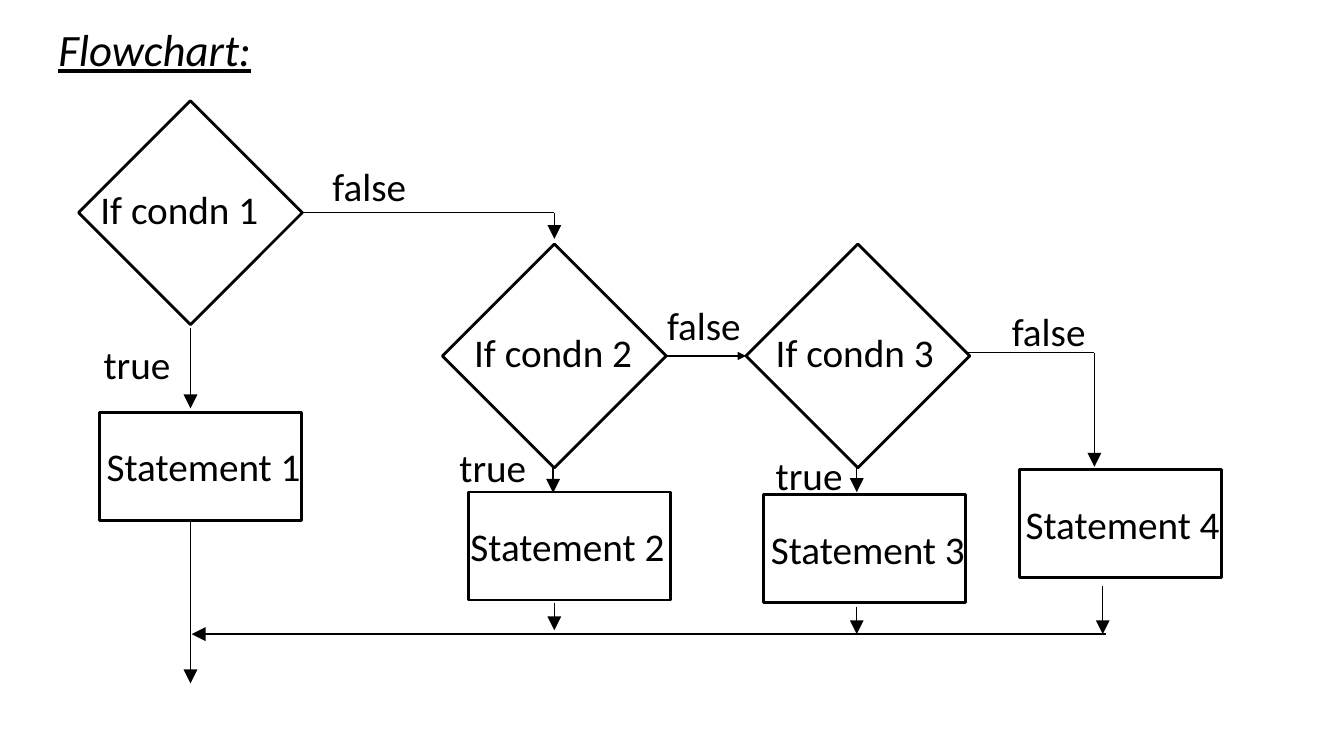
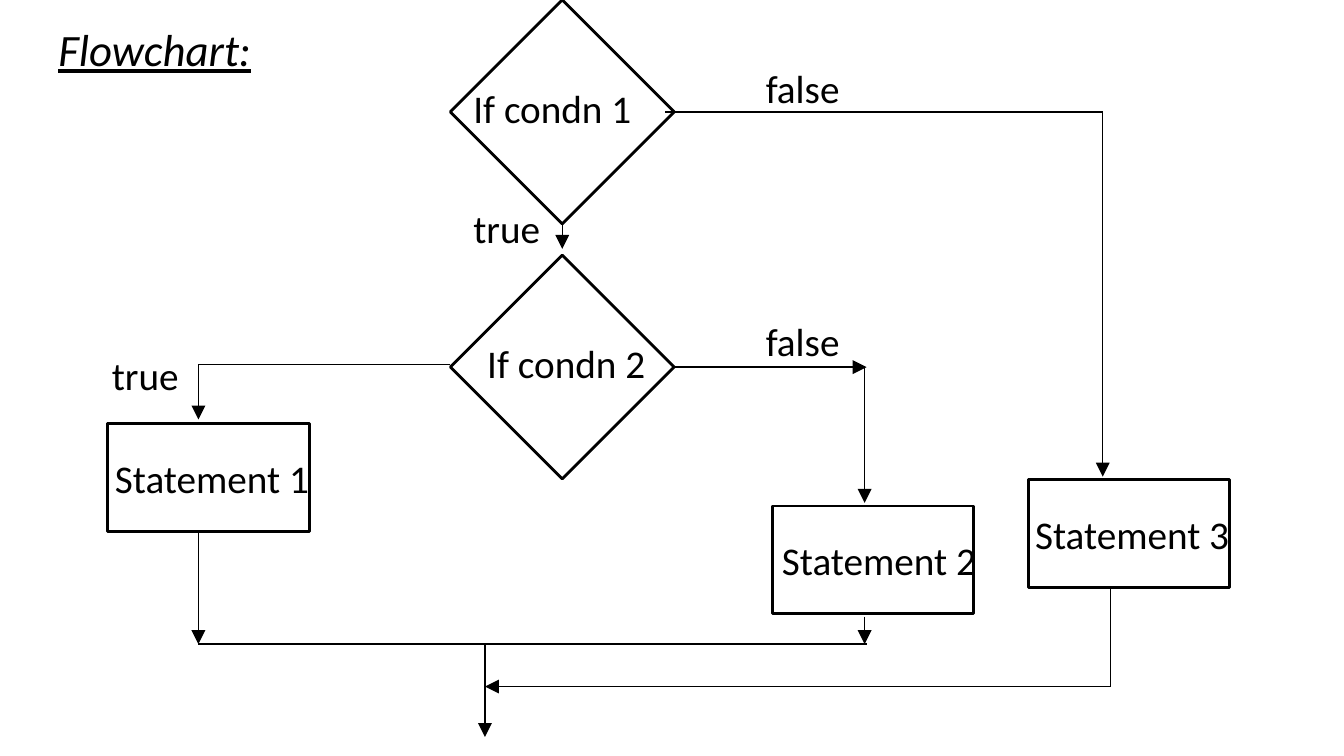
import itertools

import pptx
import pptx.dml.color
import pptx.enum.shapes
import pptx.enum.text
import pptx.oxml.ns
import pptx.util
from lxml import etree

Cm = pptx.util.Cm
Pt = pptx.util.Pt
SHAPES = pptx.enum.shapes.MSO_SHAPE

BLACK = pptx.dml.color.RGBColor(0x00, 0x00, 0x00)
FONT = "Calibri"
TITLE_SIZE = 32
LABEL_SIZE = 28
DIAMOND_SIDE = 5.64
DIAMOND_LABEL_LIFT = 0.1
STATEMENT_WIDTH, STATEMENT_HEIGHT = 5.08, 2.72
BRANCH_WIDTHS = {"true": 2.34, "false": 2.74}
BRANCH_HEIGHT = 1.45

# Conditions and statements: (text, left, top, sideways shift of the text).
# Branches: (text, left, top). Flows: (corner points, arrowhead size or None).
ELSE_IF_LADDER = {
    "conditions": [
        ("If condn 1", 1.98, 2.54, -0.28),
        ("If condn 2", 11.15, 6.15, -0.03),
        ("If condn 3", 18.8, 6.15, -0.08),
    ],
    "statements": [
        ("Statement 1", 2.51, 10.39, 0.08),
        ("Statement 2", 11.81, 12.4, -0.05),
        ("Statement 3", 19.25, 12.47, 0.08),
        ("Statement 4", 25.7, 11.84, 0.05),
    ],
    "branches": [
        ("true", 2.36, 8.46),
        ("true", 11.33, 11.05),
        ("true", 19.3, 11.25),
        ("false", 8.13, 3.96),
        ("false", 16.56, 7.47),
        ("false", 25.25, 7.62),
    ],
    "flows": [
        ([(4.8, 8.26), (4.8, 10.29)], "lg"),
        ([(4.8, 13.11), (4.8, 17.22)], "lg"),
        ([(7.62, 5.36), (13.97, 5.36), (13.97, 6.02)], "lg"),
        ([(13.94, 11.73), (13.94, 12.42)], "lg"),
        ([(13.97, 15.19), (13.97, 15.88)], "lg"),
        ([(16.79, 8.97), (18.8, 8.97)], "med"),
        ([(21.59, 11.76), (21.59, 12.4)], "lg"),
        ([(21.59, 15.29), (21.59, 15.98)], "lg"),
        ([(24.38, 8.89), (27.58, 8.89), (27.58, 11.76)], "lg"),
        ([(27.79, 14.76), (27.79, 15.98)], "lg"),
        ([(27.86, 15.98), (4.83, 15.98)], "lg"),
    ],
}
NESTED_IF = {
    "conditions": [
        ("If condn 1", 11.35, 0, -0.25),
        ("If condn 2", 11.35, 6.43, 0.1),
    ],
    "statements": [
        ("Statement 1", 2.72, 10.67, 0.08),
        ("Statement 2", 19.46, 12.75, 0.15),
        ("Statement 3", 25.91, 12.09, 0.08),
    ],
    "branches": [
        ("true", 2.57, 8.74),
        ("true", 11.68, 5.03),
        ("false", 19.05, 1.5),
        ("false", 19.05, 7.87),
    ],
    "flows": [
        ([(14.17, 5.64), (14.17, 6.27)], "lg"),
        ([(16.76, 2.82), (27.79, 2.82), (27.79, 12.01)], "lg"),
        ([(11.35, 9.19), (5, 9.19), (5, 10.57)], "lg"),
        ([(16.99, 9.25), (21.84, 9.25)], "lg"),
        ([(21.79, 9.25), (21.79, 12.67)], "lg"),
        ([(5, 13.36), (5, 16.23)], "lg"),
        ([(21.79, 15.54), (21.79, 16.23)], "lg"),
        ([(21.84, 16.23), (5, 16.23)], None),
        ([(12.22, 16.23), (12.22, 18.57)], "lg"),
        ([(27.99, 14.81), (27.99, 17.3), (12.22, 17.3)], "lg"),
    ],
}


def add_span(para, text, size):
    span = para.add_run()
    span.text = text
    span.font.name = FONT
    span.font.size = Pt(size)
    span.font.color.rgb = BLACK
    return span


def add_text_box(page, text, left, top, width, height, size, wrap=True):
    box = page.shapes.add_textbox(Cm(left), Cm(top), Cm(width), Cm(height))
    box.text_frame.word_wrap = wrap
    return add_span(box.text_frame.paragraphs[0], text, size)


def add_title(page, text):
    span = add_text_box(page, text, 1.22, 0.43, 10.77, 1.63, TITLE_SIZE, wrap=False)
    span.font.italic = True
    span.font.underline = True


def add_node(page, kind, text, left, top, width, height, shift, lift=0):
    """Outlined shape whose centred text moves right by shift and up by lift."""
    node = page.shapes.add_shape(kind, Cm(left), Cm(top), Cm(width), Cm(height))
    node.shadow.inherit = False
    node.fill.background()
    node.line.color.rgb = BLACK
    node.line.width = Pt(2)
    frame = node.text_frame
    frame.word_wrap = False
    frame.vertical_anchor = pptx.enum.text.MSO_ANCHOR.MIDDLE
    frame.margin_left = Cm(max(0, 2 * shift))
    frame.margin_right = Cm(max(0, -2 * shift))
    frame.margin_top = 0
    frame.margin_bottom = Cm(2 * lift)
    para = frame.paragraphs[0]
    para.alignment = pptx.enum.text.PP_ALIGN.CENTER
    add_span(para, text, LABEL_SIZE)


def add_condition(page, text, left, top, shift):
    add_node(page, SHAPES.DIAMOND, text, left, top, DIAMOND_SIDE, DIAMOND_SIDE,
             shift, DIAMOND_LABEL_LIFT)


def add_statement(page, text, left, top, shift):
    add_node(page, SHAPES.RECTANGLE, text, left, top,
             STATEMENT_WIDTH, STATEMENT_HEIGHT, shift)


def add_branch(page, text, left, top):
    add_text_box(page, text, left, top, BRANCH_WIDTHS[text], BRANCH_HEIGHT, LABEL_SIZE)


def add_segment(page, start, end):
    ends = [Cm(value) for value in (*start, *end)]
    segment = page.shapes.add_connector(pptx.enum.shapes.MSO_CONNECTOR.STRAIGHT, *ends)
    segment.line.color.rgb = BLACK
    segment.line.width = Pt(1)
    etree.SubElement(segment._element.spPr, pptx.oxml.ns.qn("a:effectLst"))
    return segment


def add_flow(page, points, head):
    """Join the points with straight lines; an arrowhead may close the last one."""
    segments = [add_segment(page, *pair) for pair in itertools.pairwise(points)]
    if head:
        outline = segments[-1].line._get_or_add_ln()
        etree.SubElement(outline, pptx.oxml.ns.qn("a:tailEnd"),
                         {"type": "triangle", "w": head, "len": head})


def add_flowchart(deck, chart):
    page = deck.slides.add_slide(deck.slide_layouts[6])
    add_title(page, "Flowchart:")
    for condition in chart["conditions"]:
        add_condition(page, *condition)
    for statement in chart["statements"]:
        add_statement(page, *statement)
    for flow in chart["flows"]:
        add_flow(page, *flow)
    for branch in chart["branches"]:
        add_branch(page, *branch)


def main():
    deck = pptx.Presentation()
    deck.slide_width = Cm(33.87)
    deck.slide_height = Cm(19.05)
    for chart in (ELSE_IF_LADDER, NESTED_IF):
        add_flowchart(deck, chart)
    deck.save("out.pptx")


if __name__ == "__main__":
    main()
